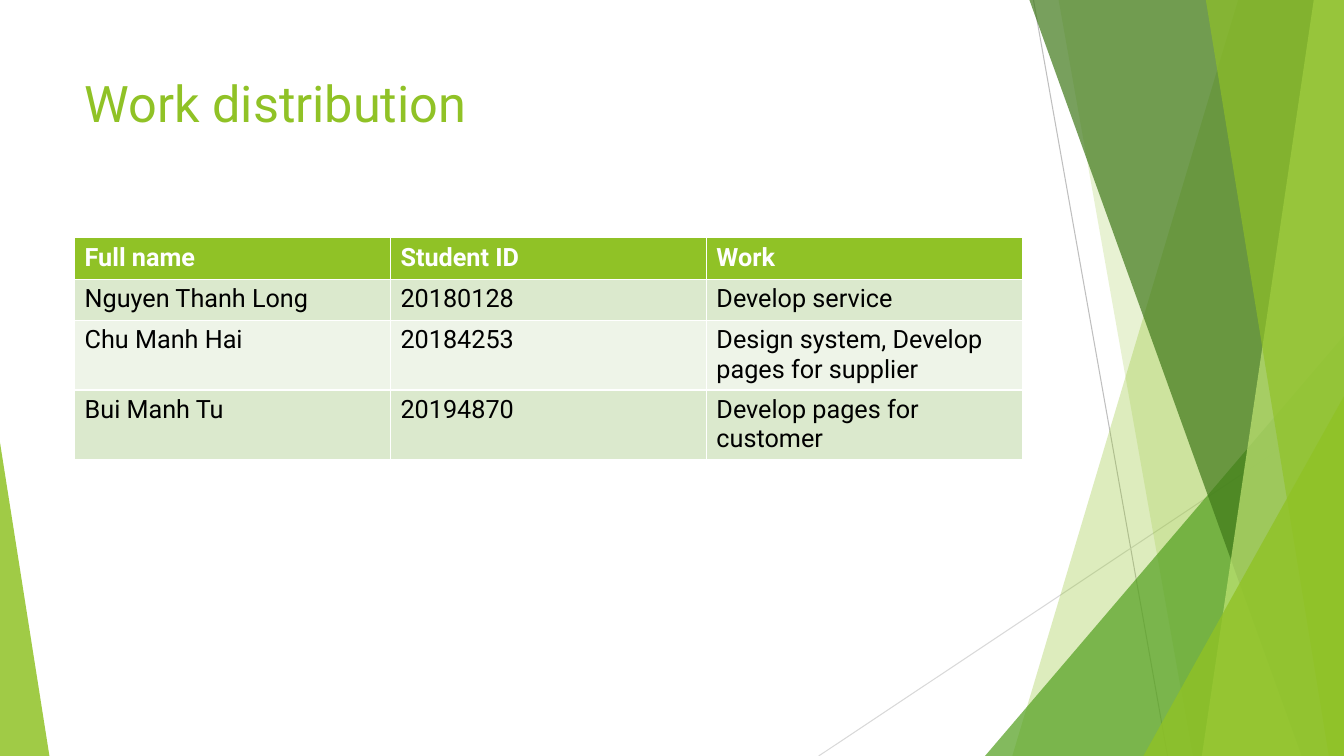
import pptx
import pptx.util
import pptx.dml.color
import pptx.enum.shapes
import pptx.enum.text
import pptx.oxml.ns
import lxml.etree

Inches, Pt = pptx.util.Inches, pptx.util.Pt
qn = pptx.oxml.ns.qn
WIDTH, HEIGHT = 13.33, 7.5
MARGIN, CONTENT_WIDTH = 0.74, 9.4
LIME, FONT = "90C226", "Roboto"


def paint(color_format, color, opacity=100):
    color_format.rgb = pptx.dml.color.RGBColor.from_string(color)
    if opacity < 100:
        tint = color_format._xFill.find(qn("a:srgbClr"))
        lxml.etree.SubElement(tint, qn("a:alpha"), val=str(opacity * 1000))


def style(paragraph, size, color, bold=False):
    paragraph.font.name = FONT
    paragraph.font.size = Pt(size)
    paragraph.font.bold = bold
    paint(paragraph.font.color, color)


deck = pptx.Presentation()
deck.slide_width, deck.slide_height = Inches(WIDTH), Inches(HEIGHT)
slide = deck.slides.add_slide(deck.slide_layouts[5])
shapes = slide.shapes

rays = [
    (10.25, 0, 11.58, HEIGHT, "BFBFBF"),
    (WIDTH, 4.03, 8.12, HEIGHT, "D9D9D9"),
]
for x1, y1, x2, y2, color in rays:
    ray = shapes.add_connector(
        pptx.enum.shapes.MSO_CONNECTOR.STRAIGHT,
        Inches(x1), Inches(y1), Inches(x2), Inches(y2))
    ray.line.width = Pt(0.75)
    paint(ray.line.color, color) if ray.line.fill.solid() else None
    ray.line.color.rgb = pptx.dml.color.RGBColor.from_string(color)
    lxml.etree.SubElement(ray._element.spPr, qn("a:effectLst"))

bands = {
    "band": [],
}
facets = [
    ("band", 12.28, 10.04, LIME, 30),
    ("band", 10.5, 11.83, LIME, 20),
    ("peak", 9.77, 3.33, "54A021", 72),
    ("band", 10.21, 12.91, "3F7819", 70),
    ("band", 13.03, 11.92, "C0E474", 70),
    ("band", 11.96, 13.18, LIME, 65),
    ("peak", 11.34, 3.93, LIME, 80),
    ("corner", 0, 4.39, LIME, 85),
]
for kind, start, end, color, opacity in facets:
    if kind == "band":
        outline = shapes.build_freeform(Inches(start), 0)
        outline.add_line_segments([
            (Inches(WIDTH), 0),
            (Inches(WIDTH), Inches(HEIGHT)),
            (Inches(end), Inches(HEIGHT))])
        facet = outline.convert_to_shape()
    else:
        facet_width = WIDTH - start if kind == "peak" else 0.49
        facet = shapes.add_shape(
            pptx.enum.shapes.MSO_SHAPE.ISOSCELES_TRIANGLE,
            Inches(start), Inches(end), Inches(facet_width), Inches(HEIGHT - end))
        facet.adjustments[0] = 1 if kind == "peak" else 0
    facet.shadow.inherit = False
    facet.line.fill.background()
    facet.fill.solid()
    paint(facet.fill.fore_color, color, opacity)

heading = shapes.title
heading.left, heading.top = Inches(MARGIN), Inches(0.67)
heading.width, heading.height = Inches(CONTENT_WIDTH), Inches(1.44)
heading.text_frame.text = "Work distribution"
heading.text_frame.vertical_anchor = pptx.enum.text.MSO_ANCHOR.TOP
heading.text_frame.paragraphs[0].alignment = pptx.enum.text.PP_ALIGN.LEFT
style(heading.text_frame.paragraphs[0], 36, LIME)

assignments = [
    ("Full name", "Student ID", "Work"),
    ("Nguyen Thanh Long", "20180128", "Develop service"),
    ("Chu Manh Hai", "20184253", "Design system, Develop pages for supplier"),
    ("Bui Manh Tu", "20194870", "Develop pages for customer"),
]
row_fills = [LIME, "DBE9CD", "EEF4E8", "DBE9CD"]
row_heights = [0.41, 0.41, 0.69, 0.69]
distribution = shapes.add_table(
    len(assignments), 3, Inches(MARGIN), Inches(2.36),
    Inches(CONTENT_WIDTH), Inches(sum(row_heights))).table
for r, assignment in enumerate(assignments):
    distribution.rows[r].height = Inches(row_heights[r])
    for c, entry in enumerate(assignment):
        cell = distribution.cell(r, c)
        cell.text = entry
        cell.fill.solid()
        paint(cell.fill.fore_color, row_fills[r])
        style(cell.text_frame.paragraphs[0], 18, "FFFFFF" if r == 0 else "000000", r == 0)

deck.save("out.pptx")
